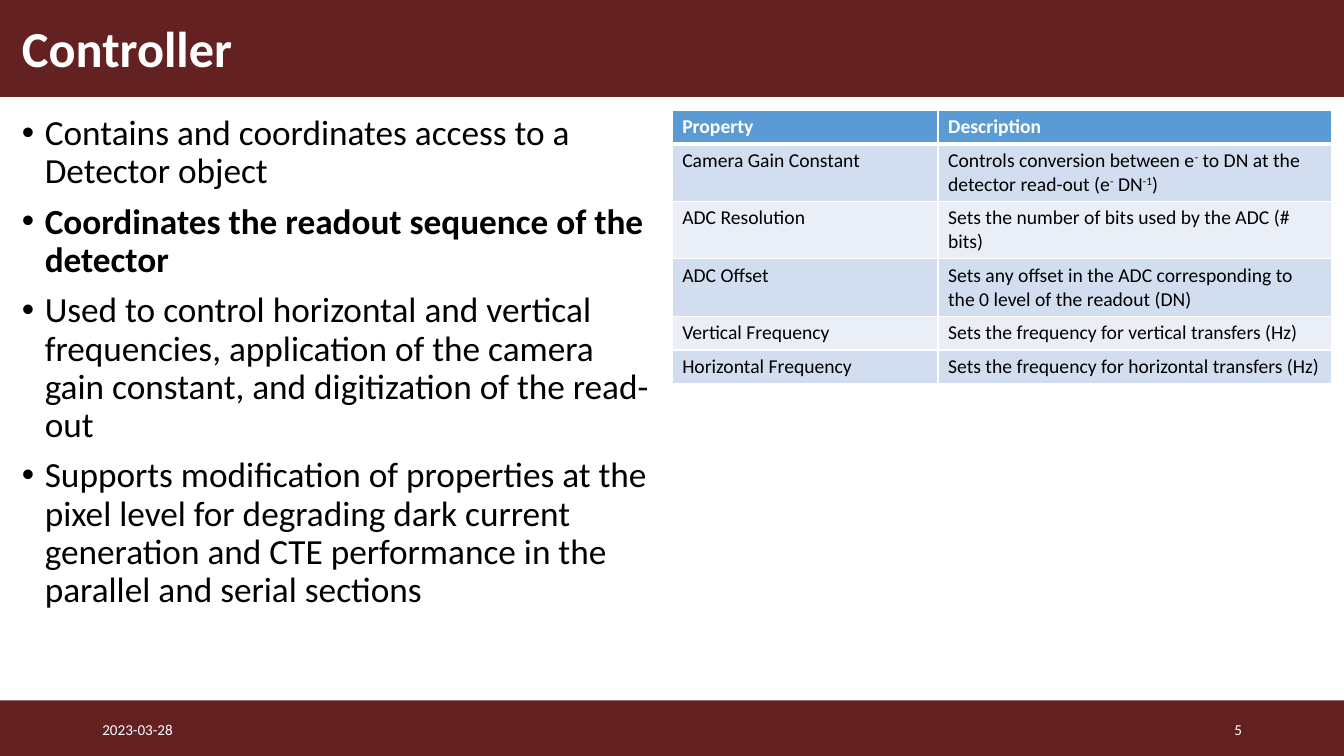
import pptx
import pptx.dml.color
import pptx.enum.shapes
import pptx.enum.text
import pptx.oxml
import pptx.oxml.ns
import pptx.util
from dataclasses import dataclass
from typing import Any

Cm = pptx.util.Cm
Pt = pptx.util.Pt
RGB = pptx.dml.color.RGBColor
ANCHOR = pptx.enum.text.MSO_ANCHOR
ALIGN = pptx.enum.text.PP_ALIGN

MAROON = RGB(0x63, 0x21, 0x21)
WHITE = RGB(0xFF, 0xFF, 0xFF)
BLACK = RGB(0, 0, 0)
BLUE = RGB(0x5B, 0x9B, 0xD5)
BANDS = (RGB(0xEA, 0xEF, 0xF7), RGB(0xD2, 0xDE, 0xEF))
WIDTH, HEIGHT = 33.87, 19.05


@dataclass
class Band:
    top: float
    height: float


@dataclass
class Point:
    text: str
    bold: bool = False


@dataclass
class Label:
    text: str
    left: float
    align: Any


@dataclass
class Row:
    name: str
    note: str  # superscripts stand between carets
    height: float


STRIPS = [Band(17.65, 1.4), Band(0, 2.44)]
POINTS = [
    Point("Contains and coordinates access to a Detector object"),
    Point("Coordinates the readout sequence of the detector", True),
    Point("Used to control horizontal and vertical frequencies, application of "
          "the camera gain constant, and digitization of the read-out"),
    Point("Supports modification of properties at the pixel level for degrading "
          "dark current generation and CTE performance in the parallel and "
          "serial sections"),
]
LABELS = [Label("2023-03-28", 2.33, ALIGN.LEFT), Label("5", 23.93, ALIGN.RIGHT)]
LOW, TALL = 0.85, 1.45
ROWS = [
    Row("Property", "Description", LOW),
    Row("Camera Gain Constant", "Controls conversion between e^-^ to DN at the "
        "detector read-out (e^-^ DN^-1^)", TALL),
    Row("ADC Resolution", "Sets the number of bits used by the ADC (# bits)", TALL),
    Row("ADC Offset", "Sets any offset in the ADC corresponding to the 0 level "
        "of the readout (DN)", TALL),
    Row("Vertical Frequency", "Sets the frequency for vertical transfers (Hz)", LOW),
    Row("Horizontal Frequency", "Sets the frequency for horizontal transfers (Hz)", LOW),
]


def style(para: Any, size: float, color: RGB, bold: bool = False) -> None:
    font = para.font
    font.name, font.size, font.bold = "Calibri", Pt(size), bold
    font.color.rgb = color


def add_box(slide: Any, left: float, top: float, width: float, height: float) -> Any:
    box = slide.shapes.add_textbox(Cm(left), Cm(top), Cm(width), Cm(height))
    box.text_frame.word_wrap = True
    return box.text_frame


def add_band(slide: Any, band: Band) -> None:
    rect = slide.shapes.add_shape(pptx.enum.shapes.MSO_SHAPE.RECTANGLE,
                                  0, Cm(band.top), Cm(WIDTH), Cm(band.height))
    rect.shadow.inherit = False
    rect.fill.solid()
    rect.fill.fore_color.rgb = MAROON
    rect.line.fill.background()


def set_title(slide: Any, text: str) -> None:
    title = slide.shapes.title
    title.left, title.top = Cm(0.3), Cm(0.33)
    title.width, title.height = Cm(27.64), Cm(1.9)
    frame = title.text_frame
    frame.text = text
    frame.vertical_anchor = ANCHOR.MIDDLE
    para = frame.paragraphs[0]
    para.alignment, para.line_spacing = ALIGN.LEFT, 0.9
    style(para, 36, WHITE, True)
    # Bring the title in front of the bands
    title.element.getparent().append(title.element)


def add_points(slide: Any) -> None:
    frame = add_box(slide, 0.3, 2.77, 16.61, 14.71)
    for i, point in enumerate(POINTS):
        para = frame.paragraphs[0] if i == 0 else frame.add_paragraph()
        para.text = point.text
        para.line_spacing = 0.9
        para.space_before = Pt(9 if i else 0)
        props = para._p.get_or_add_pPr()
        props.set("marL", str(Cm(0.58)))
        props.set("indent", str(-Cm(0.58)))
        for tag, key, value in (("buFont", "typeface", "Arial"), ("buChar", "char", "•")):
            node = pptx.oxml.parse_xml(f'<a:{tag} {pptx.oxml.ns.nsdecls("a")} {key}="{value}"/>')
            props.append(node)
        style(para, 25.2, BLACK, point.bold)


def add_label(slide: Any, label: Label) -> None:
    frame = add_box(slide, label.left, 17.86, 7.62, 1.02)
    frame.vertical_anchor = ANCHOR.MIDDLE
    para = frame.paragraphs[0]
    para.text, para.alignment = label.text, label.align
    style(para, 10.8, WHITE)


def set_edges(cell: Any, row: int) -> None:
    thick = {0: "B", 1: "T"}.get(row)
    for side in "LRTB":
        width = Pt(3 if side == thick else 1)
        cell._tc.get_or_add_tcPr().append(pptx.oxml.parse_xml(
            f'<a:ln{side} {pptx.oxml.ns.nsdecls("a")} w="{width}"><a:solidFill>'
            f'<a:srgbClr val="{WHITE}"/></a:solidFill></a:ln{side}>'))


def fill_cell(cell: Any, text: str, row: int) -> None:
    set_edges(cell, row)
    cell.fill.solid()
    cell.fill.fore_color.rgb = BANDS[row % 2] if row else BLUE
    para = cell.text_frame.paragraphs[0]
    for i, part in enumerate(text.split("^")):
        run = para.add_run()
        run.text = part
        if i % 2:
            run._r.get_or_add_rPr().set("baseline", "30000")
    style(para, 14, BLACK if row else WHITE, row == 0)


def add_grid(slide: Any) -> None:
    total = sum(row.height for row in ROWS)
    grid = slide.shapes.add_table(len(ROWS), 2, Cm(16.94), Cm(2.77),
                                  Cm(16.61), Cm(total)).table
    for col, width in zip(grid.columns, (6.7, 9.91)):
        col.width = Cm(width)
    for i, row in enumerate(ROWS):
        grid.rows[i].height = Cm(row.height)
        for j, text in enumerate((row.name, row.note)):
            fill_cell(grid.cell(i, j), text, i)


def main() -> None:
    deck = pptx.Presentation()
    deck.slide_width, deck.slide_height = Cm(WIDTH), Cm(HEIGHT)
    slide = deck.slides.add_slide(deck.slide_layouts[5])
    # Header and footer bands
    for band in STRIPS:
        add_band(slide, band)
    set_title(slide, "Controller")
    # Body
    add_points(slide)
    add_grid(slide)
    # Footer text
    for label in LABELS:
        add_label(slide, label)
    deck.save("out.pptx")


if __name__ == "__main__":
    main()
